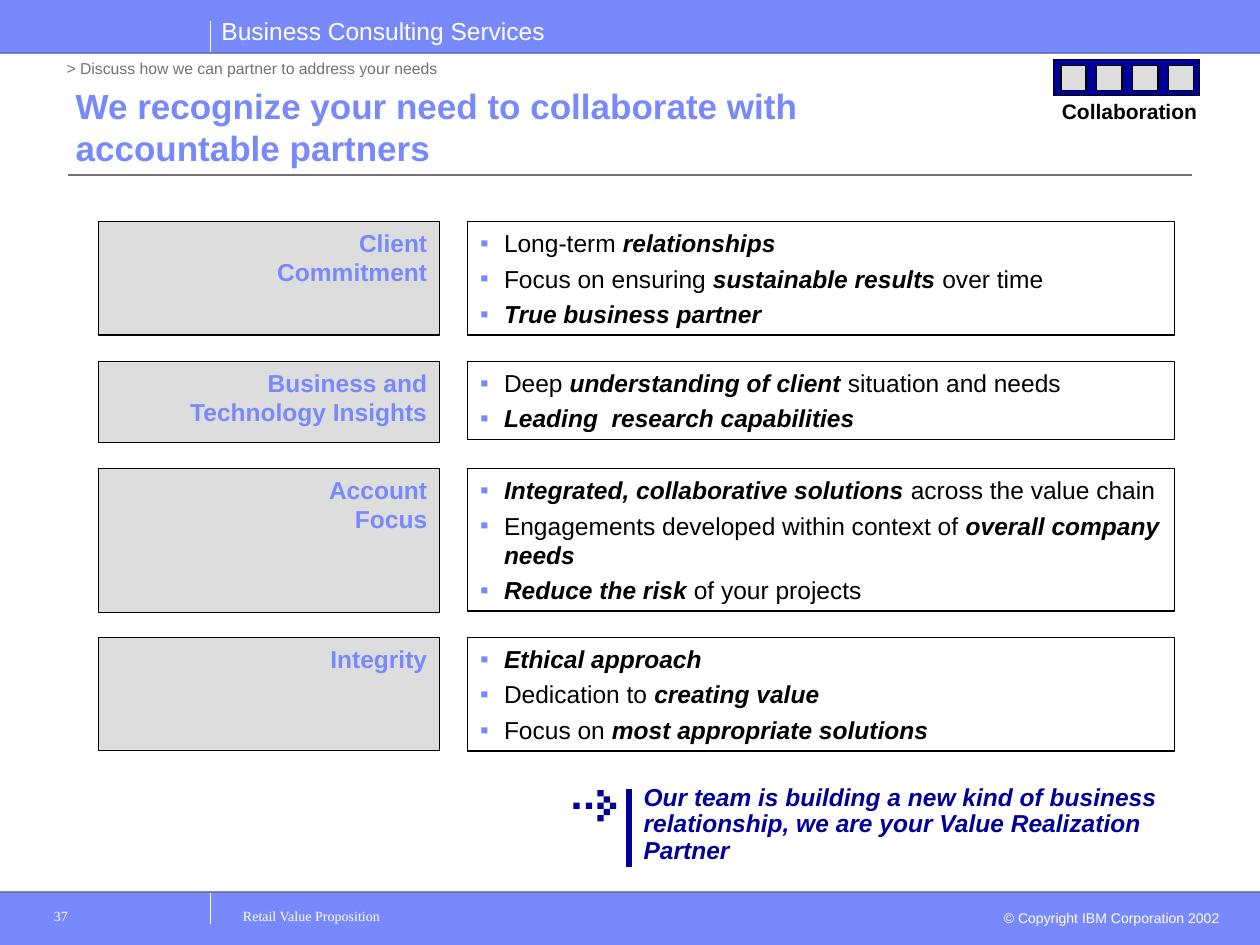
import dataclasses

import lxml.etree
import pptx
import pptx.dml.color
import pptx.enum.shapes
import pptx.enum.text
import pptx.oxml.ns
import pptx.util

Inches = pptx.util.Inches
Pt = pptx.util.Pt
Align = pptx.enum.text.PP_ALIGN
Anchor = pptx.enum.text.MSO_ANCHOR
qn = pptx.oxml.ns.qn


@dataclasses.dataclass(frozen=True)
class Theme:
    blue: str = "7889FB"
    navy: str = "000099"
    gray: str = "DDDDDD"
    rule: str = "727272"
    black: str = "000000"
    white: str = "FFFFFF"
    sans: str = "Arial"
    serif: str = "Times New Roman"
    head: float = 20
    body: float = 14
    tag: float = 12
    crumb: float = 9
    foot: float = 8


THEME = Theme()


def tint(code):
    return pptx.dml.color.RGBColor.from_string(code)


def add_bullet(para, color):
    props = para._p.get_or_add_pPr()
    props.set("marL", str(Inches(0.19)))
    props.set("indent", str(Inches(-0.19)))
    shade = lxml.etree.SubElement(props, qn("a:buClr"))
    lxml.etree.SubElement(shade, qn("a:srgbClr"), val=color)
    lxml.etree.SubElement(props, qn("a:buFont"), typeface=THEME.sans)
    lxml.etree.SubElement(props, qn("a:buChar"), char="▪")


def write(shape, text, size=THEME.body, color=THEME.black, font=THEME.sans,
          bold=False, italic=False, align=Align.LEFT, anchor=Anchor.TOP,
          wrap=True, bullet=False, gap=0, lead=1.0, foot=0.05):
    frame = shape.text_frame
    frame.auto_size = pptx.enum.text.MSO_AUTO_SIZE.NONE
    frame.word_wrap = wrap
    frame.vertical_anchor = anchor
    frame.margin_left = frame.margin_right = Inches(0.1)
    frame.margin_top, frame.margin_bottom = Inches(0.05), Inches(foot)
    lines = text if isinstance(text, list) else [text]
    for row, line in enumerate(lines):
        para = frame.add_paragraph() if row else frame.paragraphs[0]
        if bullet:
            add_bullet(para, THEME.blue)
        para.alignment = align
        para.line_spacing = lead
        para.space_before = Pt(gap if row else 0)
        for turn, part in enumerate(line.split("*")):
            for cut, piece in enumerate(part.split("\n")):
                if cut:
                    para.add_line_break()
                if not piece:
                    continue
                run = para.add_run()
                run.text = piece
                run.font.name, run.font.size = font, Pt(size)
                run.font.color.rgb = tint(color)
                run.font.bold = bold or turn % 2 == 1
                run.font.italic = italic or turn % 2 == 1


class Deck:
    def __init__(self, theme):
        self.theme = theme
        self.file = pptx.Presentation()
        self.file.slide_width, self.file.slide_height = Inches(10), Inches(7.5)
        self.slide = self.file.slides.add_slide(self.file.slide_layouts[4])
        self.shapes = self.slide.shapes
        self.slots = [hold for hold in self.slide.placeholders
                      if hold.placeholder_format.idx]

    def place(self, shape, left, top, width, height):
        shape.left, shape.top = Inches(left), Inches(top)
        shape.width, shape.height = Inches(width), Inches(height)

    def title(self, text, *box):
        self.place(self.shapes.title, *box)
        write(self.shapes.title, text, size=self.theme.head, bold=True,
              color=self.theme.blue, anchor=Anchor.BOTTOM)

    def items(self, slot, lines, *box):
        self.place(slot, *box)
        slot.line.color.rgb, slot.line.width = tint(self.theme.black), Pt(0.75)
        write(slot, lines, bullet=True, gap=3.5)

    def rect(self, *box, fill, line=None):
        shape = self.shapes.add_shape(
            pptx.enum.shapes.MSO_SHAPE.RECTANGLE, *map(Inches, box))
        shape.shadow.inherit = False
        shape.fill.solid()
        shape.fill.fore_color.rgb = tint(fill)
        if line:
            shape.line.color.rgb, shape.line.width = tint(line), Pt(0.75)
        else:
            shape.line.fill.background()
        return shape

    def rule(self, *ends, color, width=0.75):
        line = self.shapes.add_connector(
            pptx.enum.shapes.MSO_CONNECTOR.STRAIGHT, *map(Inches, ends))
        line.line.color.rgb, line.line.width = tint(color), Pt(width)
        lxml.etree.SubElement(line._element.spPr, qn("a:effectLst"))

    def label(self, text, *box, **style):
        write(self.shapes.add_textbox(*map(Inches, box)), text, **style)


def add_frame(deck):
    look = deck.theme
    for top in (7.08, 0):
        deck.rect(0, top, 10, 0.42, fill=look.blue, line=look.blue)
    for top in (0.17, 7.08):
        deck.rule(1.67, top, 1.67, top + 0.25, color=look.white)
    for top in (0.42, 7.08):
        deck.rule(0, top, 10, top, color=look.rule, width=0.5)
    deck.rule(0.54, 1.39, 9.46, 1.39, color=look.rule)
    deck.label("Business Consulting Services", 1.66, 0.08, 2.77, 0.34,
               color=look.white, wrap=False)
    deck.label("© Copyright IBM Corporation 2002", 7.83, 7.17, 1.95, 0.24,
               size=look.foot, color=look.white, align=Align.RIGHT)
    for text, left, width in (("Retail Value Proposition", 1.83, 4.5),
                              ("37", 0.33, 1.33)):
        deck.label(text, left, 7.15, width, 0.35, size=look.foot,
                   color=look.white, font=look.serif)
    deck.label("> Discuss how we can partner to address your needs",
               0.43, 0.42, 4.5, 0.25, size=look.crumb, color=look.rule)


def add_badge(deck):
    look = deck.theme
    deck.rect(8.36, 0.47, 1.16, 0.29, fill=look.navy, line=look.black)
    for col in range(4):
        deck.rect(8.42 + col * 0.285, 0.52, 0.2, 0.2,
                  fill=look.gray, line=look.black)
    deck.label("Collaboration", 8.33, 0.73, 1.27, 0.3, size=look.tag,
               bold=True, align=Align.CENTER, wrap=False)


def add_close(deck):
    look = deck.theme
    deck.label("Our team is building a new kind of business relationship, "
               "we are your Value Realization Partner", 5.01, 6.21, 4.52, 0.72,
               color=look.navy, bold=True, italic=True, lead=0.9,
               anchor=Anchor.MIDDLE, foot=0.1)
    deck.rule(4.99, 6.26, 4.99, 6.88, color=look.navy, width=3.5)
    dots = [(0, 2), (2, 2), (4, 0), (4, 2), (4, 4), (5, 1), (5, 3), (6, 2)]
    for col, row in dots:
        deck.rect(4.55 + col * 0.05 - (col > 3) * 0.01, 6.27 + row * 0.05,
                  0.05, 0.05, fill=look.navy)


ROWS = [
    ("Client\nCommitment", 1.76, 0.9, 0.9,
     ["Long-term *relationships*",
      "Focus on ensuring *sustainable results *over time",
      "*True business partner*"]),
    ("Business and\nTechnology Insights", 2.87, 0.64, 0.62,
     ["Deep* understanding of client* situation and needs",
      "*Leading  research capabilities*"]),
    ("Account\nFocus", 3.72, 1.14, 1.13,
     ["*Integrated, collaborative solutions* across the value chain",
      "Engagements developed within context of *overall company needs*",
      "*Reduce the risk* of your projects"]),
    ("Integrity", 5.06, 0.9, 0.9,
     ["*Ethical approach*",
      "Dedication to *creating value*",
      "Focus on* most appropriate solutions*"]),
]


def main():
    deck = Deck(THEME)
    add_frame(deck)
    deck.title("We recognize your need to collaborate with\n"
               "accountable partners", 0.5, 0.58, 9, 0.81)
    for slot, (name, top, tall, high, lines) in zip(deck.slots, ROWS):
        card = deck.rect(0.78, top, 2.71, tall, fill=THEME.gray,
                         line=THEME.black)
        write(card, name, color=THEME.blue, bold=True, align=Align.RIGHT)
        deck.items(slot, lines, 3.71, top, 5.61, high)
    add_badge(deck)
    add_close(deck)
    deck.file.save("out.pptx")


if __name__ == "__main__":
    main()
